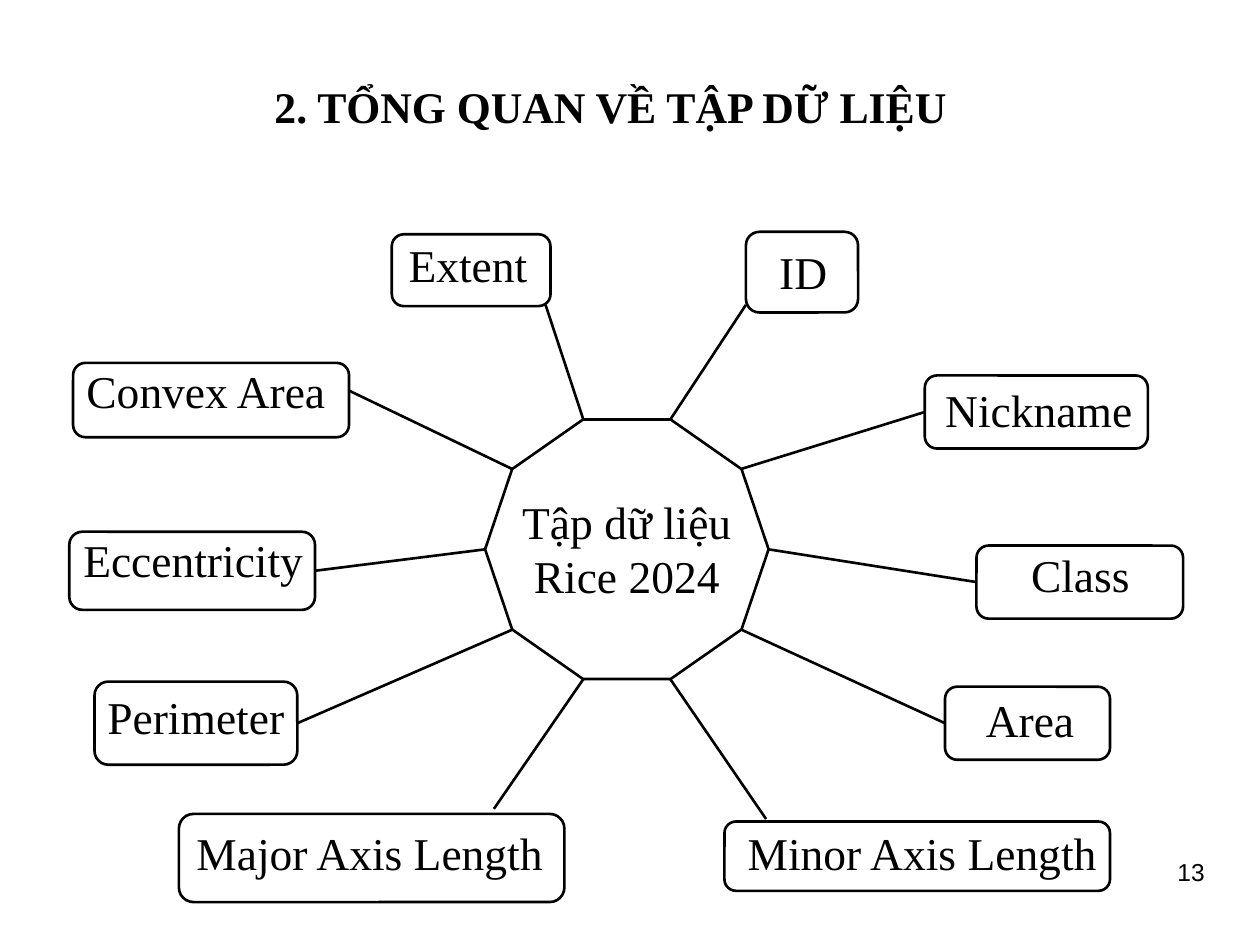
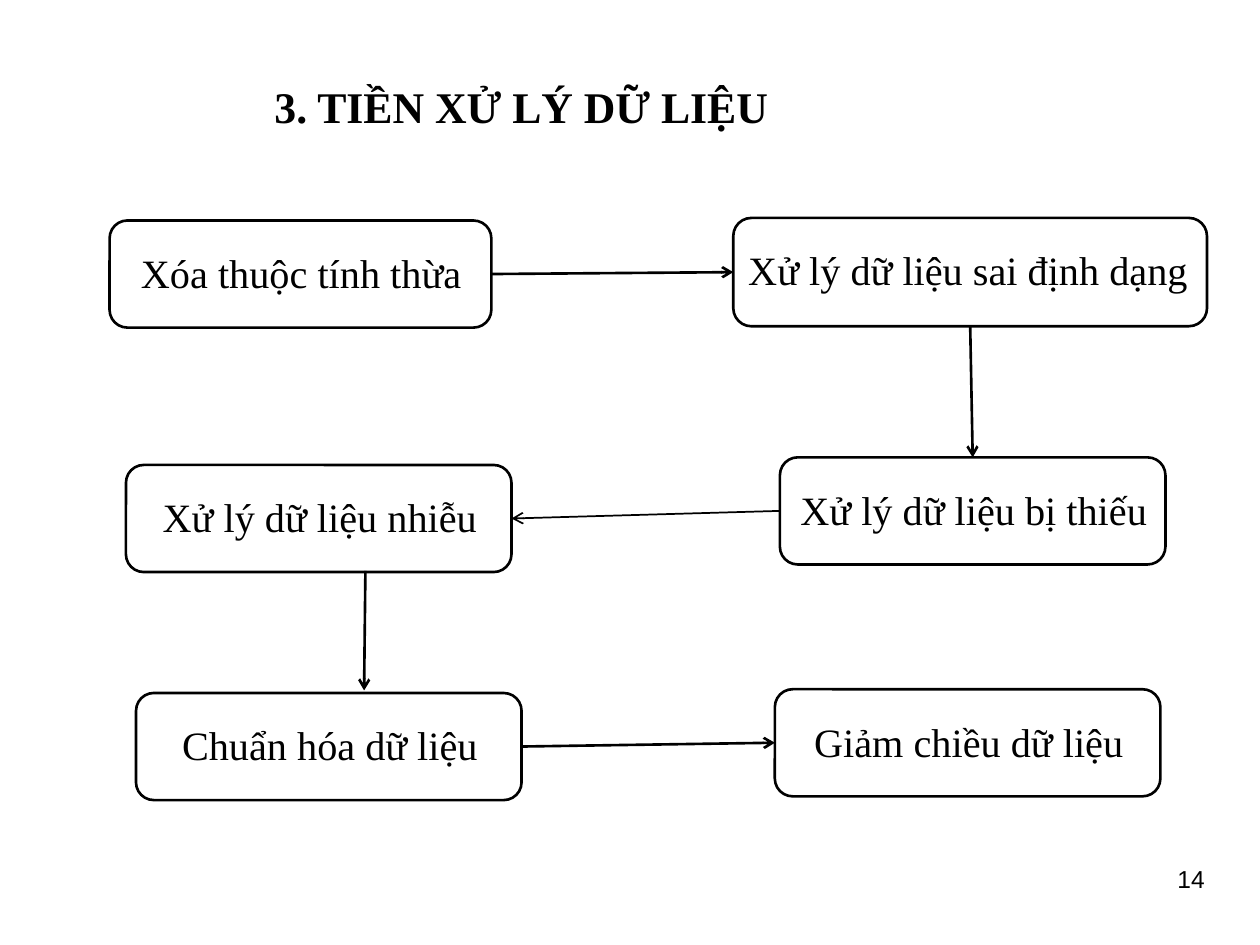
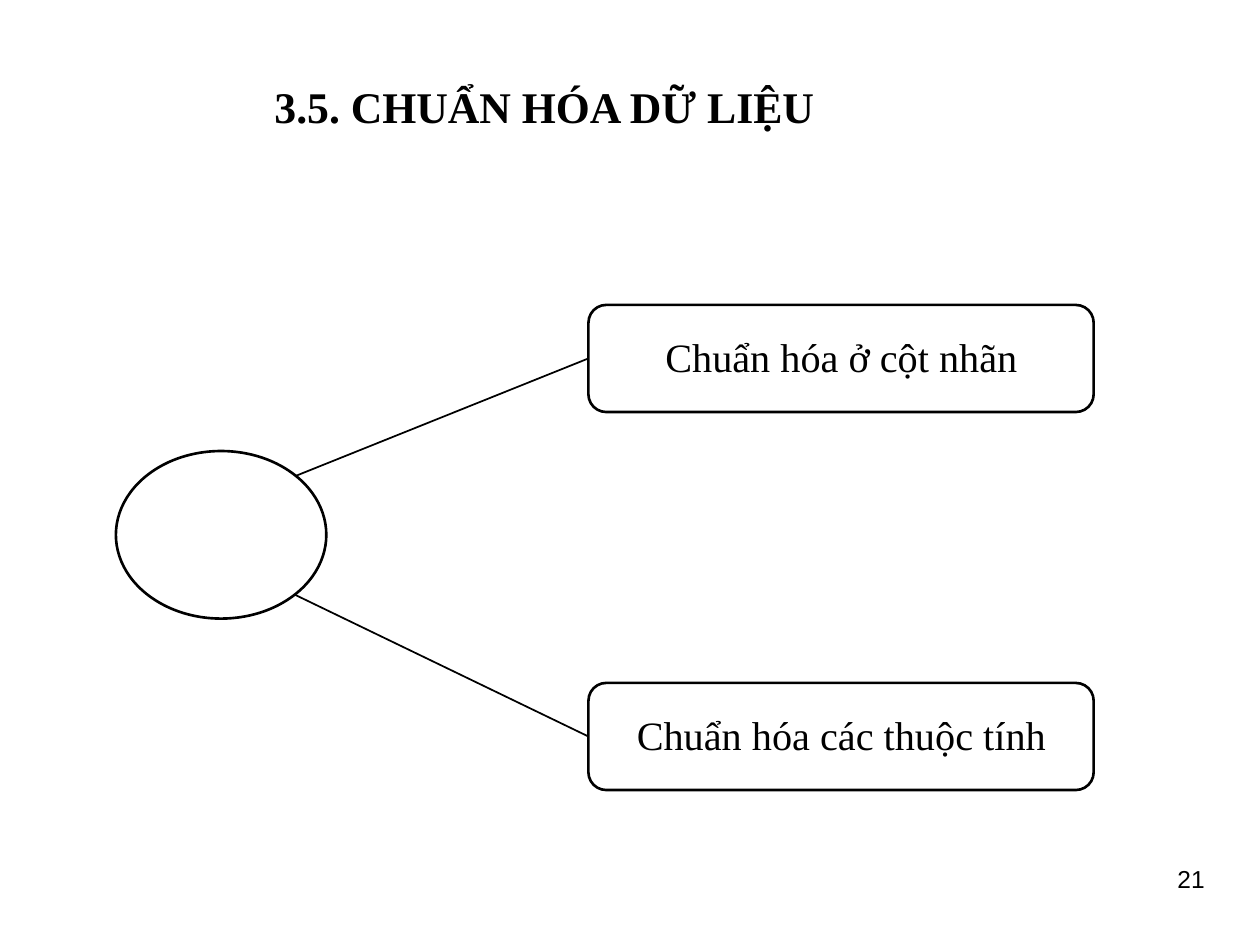
import math

from lxml import etree
from pptx import Presentation, util as u
from pptx.dml.color import RGBColor
from pptx.enum import shapes, text
from pptx.oxml.ns import qn

PX = 9144  # 100 px to the inch
INK = RGBColor(0x00, 0x00, 0x00)
SERIF, SANS = "Times New Roman", "Arial"
LEFT, CENTER, RIGHT = text.PP_ALIGN.LEFT, text.PP_ALIGN.CENTER, text.PP_ALIGN.RIGHT
ROUNDED = shapes.MSO_SHAPE.ROUNDED_RECTANGLE
TOP_SIDE, LEFT_SIDE, BOTTOM_SIDE, RIGHT_SIDE = range(4)


def place(page, rect, kind=None, lines=(), align=CENTER, **font):
    """Add an outlined shape of the given kind, or a text box if there is none."""
    rect = [value * PX for value in rect]
    if kind is None:
        box = page.shapes.add_textbox(*rect)
    else:
        box = page.shapes.add_shape(kind, *rect)
        box.shadow.inherit = False
        box.fill.background()
        box.line.color.rgb = INK
        box.line.width = u.Pt(1.5)
    frame = box.text_frame
    frame.word_wrap = True
    for index, line in enumerate(lines):
        para = frame.paragraphs[0] if index == 0 else frame.add_paragraph()
        para.alignment = align
        span = para.add_run()
        span.text = line
        span.font.color.rgb = INK
        for name, value in ({"name": SERIF} | font).items():
            setattr(span.font, name, value)
    return box


def link(page, start, end, width=1.5, arrow=False):
    line = page.shapes.add_connector(
        shapes.MSO_CONNECTOR.STRAIGHT, *[value * PX for value in (*start, *end)])
    line.line.color.rgb = INK
    line.line.width = u.Pt(width)
    if arrow:
        etree.SubElement(line.line._get_or_add_ln(), qn("a:tailEnd"), type="arrow")
    etree.SubElement(line._element.spPr, qn("a:effectLst"))
    return line


deck = Presentation()
deck.slide_width, deck.slide_height = 1000 * PX, 750 * PX

pages = []
for title, number, number_top in (
    ("2. TỔNG QUAN VỀ TẬP DỮ LIỆU", "13", 675),
    ("3. TIỀN XỬ LÝ DỮ LIỆU", "14", 681),
    ("3.5. CHUẨN HÓA DỮ LIỆU", "21", 681),
):
    page = deck.slides.add_slide(deck.slide_layouts[6])
    place(page, (733, number_top, 233, 61), lines=[number], align=RIGHT,
          name=SANS, size=u.Pt(14))
    place(page, (208, 58, 769, 52), lines=[title], align=LEFT, size=u.Pt(25), bold=True)
    pages.append(page)
overview, steps, scaling = pages

# Dataset overview: one attribute per corner of the decagon, anticlockwise from the right
hub_left, hub_top, hub_width, hub_height = hub = (385, 333, 225, 206)
place(overview, hub, shapes.MSO_SHAPE.DECAGON)
place(overview, (397, 387, 201, 97), lines=["Tập dữ liệu", "Rice 2024"], size=u.Pt(26))

# name, box, label (left, top, width), end of spoke: a box side or a point
attributes = [
    ("Class", (775, 433, 164, 58), (757, 429, 201), LEFT_SIDE),
    ("Nickname", (734, 298, 177, 58), (724, 298, 201), LEFT_SIDE),
    ("ID", (592, 184, 89, 64), (537, 189, 201), (592, 242)),
    ("Extent", (311, 186, 126, 57), (271, 183, 201), (433, 242)),
    ("Convex Area", (58, 288, 219, 59), (50, 283, 227), (277, 310)),
    ("Eccentricity", (55, 422, 195, 62), (42, 417, 223), RIGHT_SIDE),
    ("Perimeter", (75, 541, 161, 66), (55, 542, 201), RIGHT_SIDE),
    ("Major Axis Length", (142, 646, 306, 70), (142, 650, 303), (392, 642)),
    ("Minor Axis Length", (575, 652, 306, 55), (575, 650, 314), (608, 650)),
    ("Area", (750, 545, 131, 58), (717, 544, 201), LEFT_SIDE),
]
for index, (name, rect, label, target) in enumerate(attributes):
    box = place(overview, rect, ROUNDED)
    place(overview, (*label, 54), lines=[name], size=u.Pt(26))
    angle = math.radians(36 * index)
    rise = math.sin(angle) / math.sin(math.radians(72))
    corner = (round(hub_left + hub_width / 2 * (1 + math.cos(angle))),
              round(hub_top + hub_height / 2 * (1 - rise)))
    if isinstance(target, tuple):
        link(overview, corner, target)
    else:
        link(overview, corner, corner).end_connect(box, target)

# Labelled boxes of the preprocessing steps and of the two kinds of scaling
step_boxes, scaling_boxes = [], []
for page, boxes, name, rect, label_left, label_width, align in (
    (steps, step_boxes, "Xóa thuộc tính thừa", (87, 175, 303, 85), 102, 298, LEFT),
    (steps, step_boxes, "Xử lý dữ liệu sai định dạng", (582, 173, 376, 86), 584, 373, LEFT),
    (steps, step_boxes, "Xử lý dữ liệu bị thiếu", (619, 363, 306, 85), 621, 304, CENTER),
    (steps, step_boxes, "Xử lý dữ liệu nhiễu", (100, 369, 306, 85), 102, 304, CENTER),
    (steps, step_boxes, "Chuẩn hóa dữ liệu", (108, 550, 306, 85), 110, 304, CENTER),
    (steps, step_boxes, "Giảm chiều dữ liệu", (615, 547, 306, 85), 617, 304, CENTER),
    (scaling, scaling_boxes, "Chuẩn hóa ở cột nhãn", (467, 242, 401, 85), 469, 398, CENTER),
    (scaling, scaling_boxes, "Chuẩn hóa các thuộc tính", (467, 542, 401, 85), 469, 398, CENTER),
):
    boxes.append(place(page, rect, ROUNDED))
    place(page, (label_left, rect[1] + 17, label_width, 49), lines=[name],
          align=align, size=u.Pt(23))

for first, start_side, end_side, width in (
    (0, RIGHT_SIDE, LEFT_SIDE, 1.5),
    (1, BOTTOM_SIDE, TOP_SIDE, 1.5),
    (2, LEFT_SIDE, RIGHT_SIDE, 1),
    (4, RIGHT_SIDE, LEFT_SIDE, 1.5),
):
    arrow = link(steps, (0, 0), (0, 0), width, arrow=True)
    arrow.begin_connect(step_boxes[first], start_side)
    arrow.end_connect(step_boxes[first + 1], end_side)
link(steps, (290, 453), (289, 548), arrow=True)

# Scaling: the ellipse branches to both boxes
place(scaling, (92, 358, 167, 133), shapes.MSO_SHAPE.OVAL)
for box, start in zip(scaling_boxes, ((234, 378), (234, 472))):
    link(scaling, start, start, width=1).end_connect(box, LEFT_SIDE)

deck.save("out.pptx")
